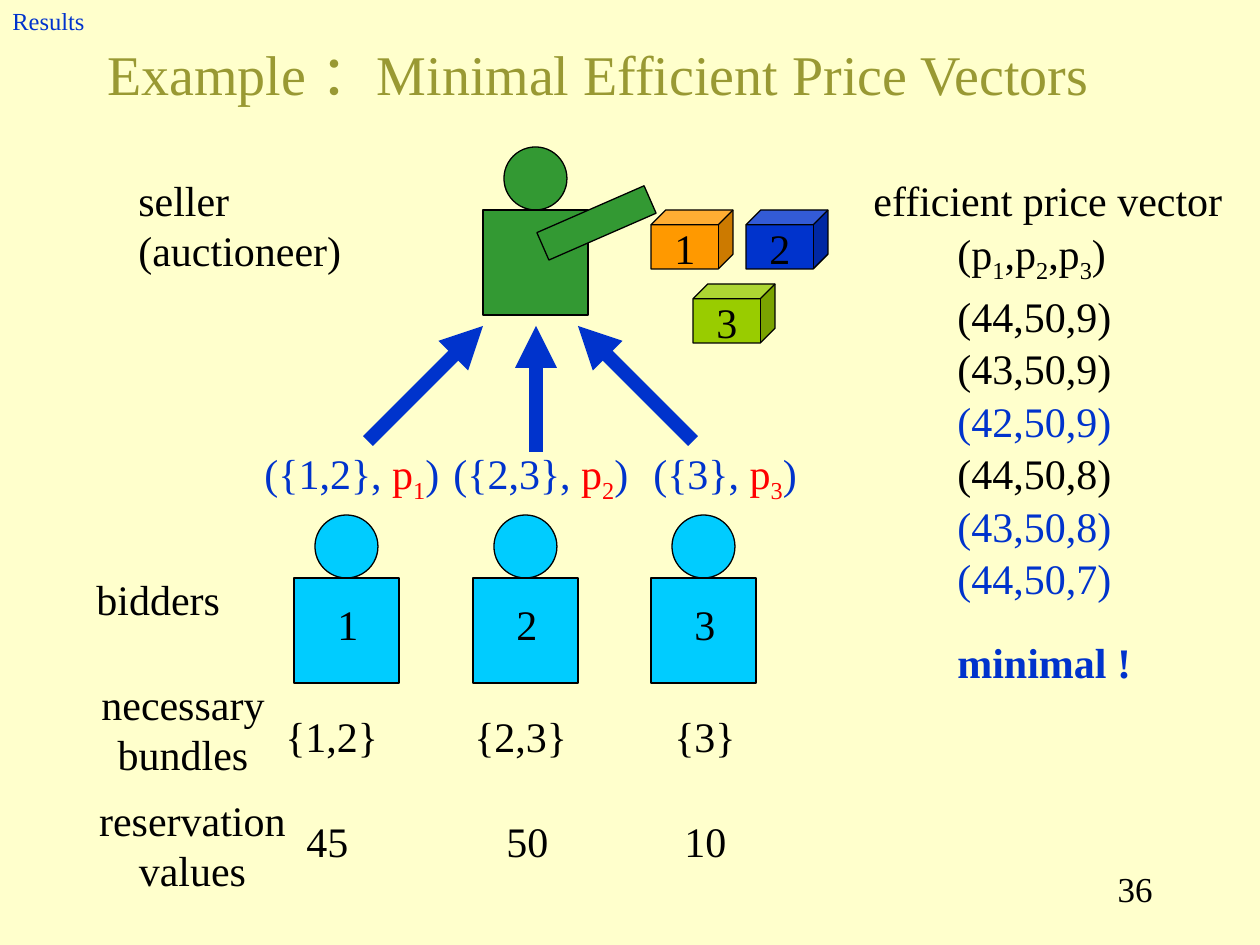
from typing import NamedTuple

from lxml.etree import SubElement
from pptx import Presentation
from pptx.dml.color import RGBColor
from pptx.enum.shapes import MSO_CONNECTOR, MSO_SHAPE
from pptx.enum.text import MSO_ANCHOR, PP_ALIGN
from pptx.oxml.ns import qn
from pptx.util import Pt

EMU_PER_PX = 914400 / 126
FONT = "Times New Roman"
BLACK, BLUE, RED = "000000", "0033CC", "FF0000"
GREEN, CYAN, OLIVE, CREAM = "339933", "00CCFF", "999933", "FFFFCC"
LINE_HEIGHT = 63


class Run(NamedTuple):
    text: str
    color: str = BLACK
    size: int = 24
    bold: bool = False
    subscript: bool = False


class Box(NamedTuple):
    left: int
    top: int
    width: int
    height: int = LINE_HEIGHT


class Item(NamedTuple):
    number: str
    left: int
    top: int
    color: str


class Bidder(NamedTuple):
    number: str
    left: int
    bundle: str
    bundle_box: Box
    value: str
    value_box: Box
    bid_box: Box
    arrow: tuple[int, int, int, int]


ITEMS = [
    Item("1", 651, 210, "FF9900"),
    Item("2", 746, 210, BLUE),
    Item("3", 693, 284, "99CC00"),
]
BIDDERS = [
    Bidder("1", 294, "{1,2}", Box(273, 704, 136), "45", Box(294, 809, 72),
           Box(252, 441, 210), (368, 441, 483, 326)),
    Bidder("2", 473, "{2,3}", Box(462, 704, 126), "50", Box(494, 809, 72),
           Box(441, 441, 210), (536, 452, 536, 326)),
    Bidder("3", 651, "{3}", Box(662, 704, 101), "10", Box(672, 809, 81),
           Box(641, 441, 179), (693, 441, 578, 326)),
]
PRICE_VECTORS = [
    ("(44,50,9)", BLACK),
    ("(43,50,9)", BLACK),
    ("(42,50,9)", BLUE),
    ("(44,50,8)", BLACK),
    ("(43,50,8)", BLUE),
    ("(44,50,7)", BLUE),
]


def px(length: int) -> int:
    return round(length * EMU_PER_PX)


def rgb(color: str) -> RGBColor:
    return RGBColor.from_string(color)


def add_text(slide, box: Box, *runs: Run, align=PP_ALIGN.LEFT, anchor=MSO_ANCHOR.TOP) -> None:
    frame = slide.shapes.add_textbox(*map(px, box)).text_frame
    frame.word_wrap = True
    frame.vertical_anchor = anchor
    paragraph = frame.paragraphs[0]
    paragraph.alignment = align
    for part in runs:
        run = paragraph.add_run()
        run.text = part.text
        run.font.name = FONT
        run.font.size = Pt(part.size)
        run.font.bold = part.bold
        run.font.color.rgb = rgb(part.color)
        if part.subscript:
            run.font._element.set("baseline", "-25000")


def add_outlined(slide, preset: MSO_SHAPE, box: Box, color: str, rotation: float = 0) -> None:
    shape = slide.shapes.add_shape(preset, *map(px, box))
    shape.shadow.inherit = False
    shape.rotation = rotation
    shape.fill.solid()
    shape.fill.fore_color.rgb = rgb(color)
    shape.line.color.rgb = rgb(BLACK)
    shape.line.width = Pt(0.75)


def add_person(slide, left: int, top: int, color: str) -> None:
    """Draw a round head centred on a square body."""
    add_outlined(slide, MSO_SHAPE.OVAL, Box(left + 21, top, 63, 63), color)
    add_outlined(slide, MSO_SHAPE.RECTANGLE, Box(left, top + 63, 105, 105), color)


def add_item(slide, item: Item) -> None:
    add_outlined(slide, MSO_SHAPE.CUBE, Box(item.left, item.top, 82, 59), item.color)
    add_text(slide, Box(item.left + 11, item.top + 6, 43), Run(item.number))


def add_arrow(slide, ends: tuple[int, int, int, int]) -> None:
    arrow = slide.shapes.add_connector(MSO_CONNECTOR.STRAIGHT, *map(px, ends))
    arrow.line.color.rgb = rgb(BLUE)
    arrow.line.width = Pt(8)
    SubElement(arrow.line._get_or_add_ln(), qn("a:tailEnd"), type="triangle")
    SubElement(arrow._element.spPr, qn("a:effectLst"))


def add_bidder(slide, bidder: Bidder) -> None:
    """Draw a bidder with the bid above and the bundle and value below."""
    add_person(slide, bidder.left, 515, CYAN)
    add_text(slide, Box(bidder.left + 31, 592, 52), Run(bidder.number))
    add_text(slide, bidder.bundle_box, Run(bidder.bundle))
    add_text(slide, bidder.value_box, Run(bidder.value))
    add_arrow(slide, bidder.arrow)
    add_text(slide, bidder.bid_box, Run(f"({bidder.bundle}, ", BLUE), Run("p", RED),
             Run(bidder.number, RED, subscript=True), Run(")", BLUE))


def add_price_vectors(slide) -> None:
    left, first_top = 945, 284
    add_text(slide, Box(861, 168, 399), Run("efficient price vector"))
    symbols = [Run("(p")]
    for number, following in (("1", ",p"), ("2", ",p"), ("3", ")")):
        symbols += [Run(number, subscript=True), Run(following)]
    add_text(slide, Box(left, 221, 210, 71), *symbols)
    for row, (vector, color) in enumerate(PRICE_VECTORS):
        add_text(slide, Box(left, first_top + row * 105 // 2, 221), Run(vector, color))
    add_text(slide, Box(left, 630, 199), Run("minimal !", BLUE, bold=True))


def main() -> None:
    presentation = Presentation()
    presentation.slide_width, presentation.slide_height = px(1260), px(945)
    slide = presentation.slides.add_slide(presentation.slide_layouts[6])
    slide.background.fill.solid()
    slide.background.fill.fore_color.rgb = rgb(CREAM)

    add_text(slide, Box(95, 21, 1071, 105),
             Run("Example ：Minimal Efficient Price Vectors", OLIVE, 32),
             anchor=MSO_ANCHOR.MIDDLE)
    add_text(slide, Box(0, 0, 451, 42), Run("Results", BLUE, 14), anchor=MSO_ANCHOR.MIDDLE)

    add_text(slide, Box(126, 168, 257, 113), Run("seller (auctioneer)"))
    for item in ITEMS:
        add_item(slide, item)
    add_person(slide, 483, 147, GREEN)
    add_outlined(slide, MSO_SHAPE.RECTANGLE, Box(538, 208, 117, 30), GREEN, rotation=336.4)

    add_text(slide, Box(84, 567, 160), Run("bidders"))
    add_text(slide, Box(84, 672, 198, 113), Run("necessary bundles"), align=PP_ALIGN.CENTER)
    add_text(slide, Box(84, 788, 217, 113), Run("reservation values"), align=PP_ALIGN.CENTER)
    for bidder in BIDDERS:
        add_bidder(slide, bidder)

    add_price_vectors(slide)
    add_text(slide, Box(903, 861, 262), Run("36", size=20), align=PP_ALIGN.RIGHT)
    presentation.save("out.pptx")


if __name__ == "__main__":
    main()
